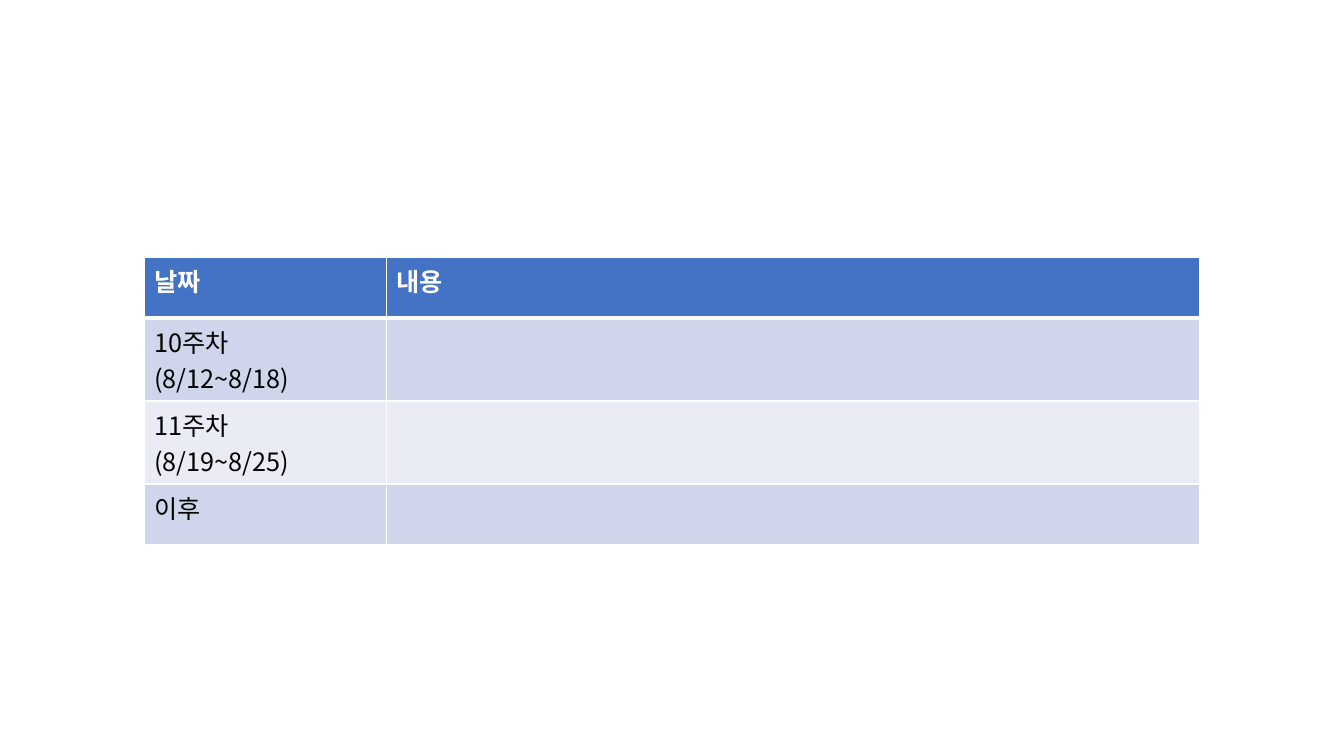
from dataclasses import dataclass

from lxml.etree import SubElement
from pptx import Presentation
from pptx.dml.color import RGBColor as Rgb
from pptx.oxml.ns import qn
from pptx.util import Cm, Pt


@dataclass(frozen=True)
class Theme:
    font: str = "Noto Sans CJK KR"
    size: int = 18
    white: str = "FFFFFF"
    black: str = "000000"
    header: str = "4472C4"
    bands: tuple = ("CFD5EA", "E9EBF5")
    thin: int = 1
    thick: int = 3


THEME = Theme()
SCHEDULE = [
    ("날짜", "내용"),
    ("10주차\v(8/12~8/18)", ""),
    ("11주차\v(8/19~8/25)", ""),
    ("이후", ""),
]
COLUMN_WIDTHS = (6.1, 20.5)
ROW_HEIGHT = 1.53


def set_borders(cell, top, bottom):
    properties = cell._tc.get_or_add_tcPr()
    widths = {"lnL": THEME.thin, "lnR": THEME.thin, "lnT": top, "lnB": bottom}
    for side, width in widths.items():
        line = SubElement(properties, qn(f"a:{side}"), w=str(Pt(width)))
        fill = SubElement(line, qn("a:solidFill"))
        SubElement(fill, qn("a:srgbClr"), val=THEME.white)


def set_font(para, color, bold):
    font = para.font
    font.name = THEME.font
    font.size = Pt(THEME.size)
    font.bold = bold
    font.color.rgb = Rgb.from_string(color)
    SubElement(font._element, qn("a:ea"), typeface=THEME.font)


def fill_cell(cell, text, row):
    is_header = row == 0
    cell.text = text
    set_font(cell.text_frame.paragraphs[0],
             THEME.white if is_header else THEME.black, is_header)
    set_borders(cell,
                THEME.thick if row == 1 else THEME.thin,
                THEME.thick if is_header else THEME.thin)
    cell.fill.solid()
    color = THEME.header if is_header else THEME.bands[(row - 1) % 2]
    cell.fill.fore_color.rgb = Rgb.from_string(color)


def add_schedule(page, left, top):
    frame = page.shapes.add_table(
        len(SCHEDULE), len(COLUMN_WIDTHS), Cm(left), Cm(top),
        Cm(sum(COLUMN_WIDTHS)), Cm(ROW_HEIGHT * len(SCHEDULE)))
    table = frame.table
    for column, width in zip(table.columns, COLUMN_WIDTHS):
        column.width = Cm(width)
    for row, texts in enumerate(SCHEDULE):
        table.rows[row].height = Cm(ROW_HEIGHT)
        for column, text in enumerate(texts):
            fill_cell(table.cell(row, column), text, row)


def main():
    deck = Presentation()
    deck.slide_width, deck.slide_height = Cm(33.87), Cm(19.05)
    page = deck.slides.add_slide(deck.slide_layouts[6])
    add_schedule(page, 3.63, 6.48)
    deck.save("out.pptx")


main()
